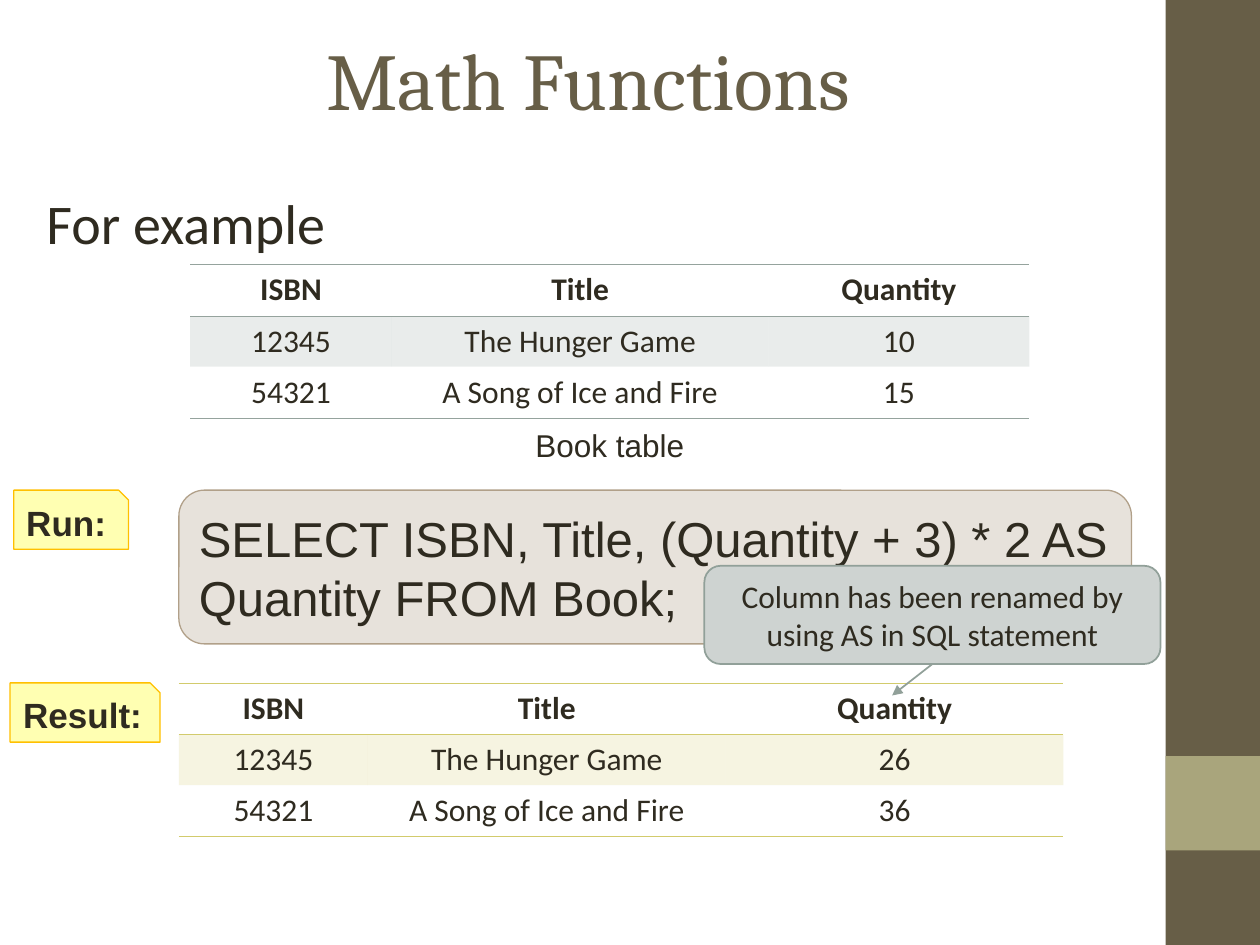
import pptx
import pptx.util
import pptx.dml.color
import pptx.enum.shapes
import pptx.enum.text
import pptx.oxml
import pptx.oxml.ns
from pptx.util import Inches

COLORS = {
    "brown": "675E47", "olive": "A9A57C", "text": "2F2B20",
    "tan": "B1A089", "sage": "95A39D", "lime": "D2CB6C",
    "yellow": "FFFF00", "amber": "FFC000",
    "callout": "CED3D1", "callout_line": "91A099",
}
SHAPES = pptx.enum.shapes.MSO_SHAPE
ANCHOR = pptx.enum.text.MSO_ANCHOR
LEFT = pptx.enum.text.PP_ALIGN.LEFT
CENTER = pptx.enum.text.PP_ALIGN.CENTER


def rgb(name):
    return pptx.dml.color.RGBColor.from_string(COLORS[name])


def xml(tag, inner="", attrs=""):
    ns = pptx.oxml.ns.nsdecls("a")
    return pptx.oxml.parse_xml(f"<a:{tag} {ns} {attrs}>{inner}</a:{tag}>")


def set_fill(fill, color, opacity=100):
    fill.solid()
    fill.fore_color.rgb = rgb(color)
    if opacity < 100:
        clr = fill._xPr.find(".//" + pptx.oxml.ns.qn("a:srgbClr"))
        clr.append(xml("alpha", attrs=f'val="{opacity * 1000}"'))


def set_text(tf, text, size, font="Calibri", color="text", bold=False,
             align=CENTER, anchor=ANCHOR.TOP):
    tf.text = text
    tf.word_wrap = True
    tf.vertical_anchor = anchor
    p = tf.paragraphs[0]
    p.alignment = align
    r = p.runs[0]
    r.font.size = pptx.util.Pt(size)
    r.font.name = font
    r.font.bold = bold
    r.font.color.rgb = rgb(color)


def add_text(s, box, text, size, font, align):
    sp = s.shapes.add_textbox(*map(Inches, box))
    set_text(sp.text_frame, text, size, font, align=align)


def add_box(s, kind, box, fill, opacity=100, line=None, width=0.75):
    sp = s.shapes.add_shape(kind, *map(Inches, box))
    sp.shadow.inherit = False
    set_fill(sp.fill, fill, opacity)
    if line:
        sp.line.color.rgb = rgb(line)
        sp.line.width = pptx.util.Pt(width)
    else:
        sp.line.fill.background()
    return sp


def add_label(s, box, text, align):
    sp = add_box(s, SHAPES.SNIP_1_RECTANGLE, box, "yellow", 30, "amber")
    set_text(sp.text_frame, text, 20, "Arial", bold=True, align=align,
             anchor=ANCHOR.MIDDLE)


def set_borders(cell, color, top, bottom):
    solid = f'<a:solidFill><a:srgbClr val="{COLORS[color]}"/></a:solidFill>'
    sides = (("lnL", False), ("lnR", False), ("lnT", top), ("lnB", bottom))
    tcPr = cell._tc.get_or_add_tcPr()
    for i, (tag, shown) in enumerate(sides):
        tcPr.insert(i, xml(tag, solid if shown else "<a:noFill/>", 'w="5715"'))


def add_book_table(s, left, top, widths, quantities, color):
    rows = [("ISBN", "Title", "Quantity"),
            ("12345", "The Hunger Game", quantities[0]),
            ("54321", "A Song of Ice and Fire", quantities[1])]
    heights = (0.41, 0.4, 0.41)
    frame = s.shapes.add_table(3, 3, Inches(left), Inches(top),
                               Inches(sum(widths)), Inches(sum(heights)))
    table = frame.table
    table.first_row = table.horz_banding = False
    for col, width in zip(table.columns, widths):
        col.width = Inches(width)
    for i, values in enumerate(rows):
        table.rows[i].height = Inches(heights[i])
        for j, value in enumerate(values):
            cell = table.cell(i, j)
            set_text(cell.text_frame, value, 18, bold=i == 0)
            if i == 1:
                set_fill(cell.fill, color, 20)
            else:
                cell.fill.background()
            set_borders(cell, color, top=i < 2, bottom=i != 1)


def add_arrow(s, source, end, color):
    line = s.shapes.add_connector(pptx.enum.shapes.MSO_CONNECTOR.STRAIGHT,
                                  0, 0, *map(Inches, end))
    line.begin_connect(source, 2)
    line.line.color.rgb = rgb(color)
    line.line.width = pptx.util.Pt(1)
    line.line._get_or_add_ln().append(xml("tailEnd", attrs='type="triangle"'))
    line._element.spPr.append(xml("effectLst"))


def main():
    prs = pptx.Presentation()
    prs.slide_width, prs.slide_height = Inches(10), Inches(7.5)
    s = prs.slides.add_slide(prs.slide_layouts[5])

    # Side band
    add_box(s, SHAPES.RECTANGLE, (9.25, 0, 0.75, 7.5), "brown")
    add_box(s, SHAPES.RECTANGLE, (9.25, 6, 0.75, 0.75), "olive")

    # Title and lead-in
    title = s.shapes.title
    title.left, title.top = Inches(0.5), Inches(0)
    title.width, title.height = Inches(8.33), Inches(1.25)
    set_text(title.text_frame, "Math Functions", 46, "Cambria", "brown",
             anchor=ANCHOR.MIDDLE)
    add_text(s, (0.27, 1.45, 8.8, 0.65), "For example", 32, "Calibri", LEFT)

    # SQL statement
    code = add_box(s, SHAPES.ROUNDED_RECTANGLE, (1.42, 3.89, 7.56, 1.22),
                   "tan", 30, "tan")
    set_text(code.text_frame,
             "SELECT ISBN, Title, (Quantity + 3) * 2 AS Quantity FROM Book;",
             28, "Arial", align=LEFT, anchor=ANCHOR.MIDDLE)

    # Source and result tables
    add_book_table(s, 1.51, 2.1, (1.6, 2.99, 2.07), ("10", "15"), "sage")
    add_book_table(s, 1.42, 5.42, (1.5, 2.84, 2.68), ("26", "36"), "lime")
    add_text(s, (3.74, 3.33, 2.2, 0.4), "Book table", 18, "Arial", CENTER)

    # Step labels
    add_label(s, (0.08, 5.42, 1.19, 0.47), "Result:", CENTER)
    add_label(s, (0.11, 3.89, 0.91, 0.47), "Run:", LEFT)

    # Callout pointing at the renamed column
    callout = add_box(s, SHAPES.ROUNDED_RECTANGLE, (5.59, 4.49, 3.62, 0.78),
                      "callout", line="callout_line", width=1)
    set_text(callout.text_frame,
             "Column has been renamed by using AS in SQL statement", 18)
    add_arrow(s, callout, (7.08, 5.52), "callout_line")

    prs.save("out.pptx")


if __name__ == "__main__":
    main()
